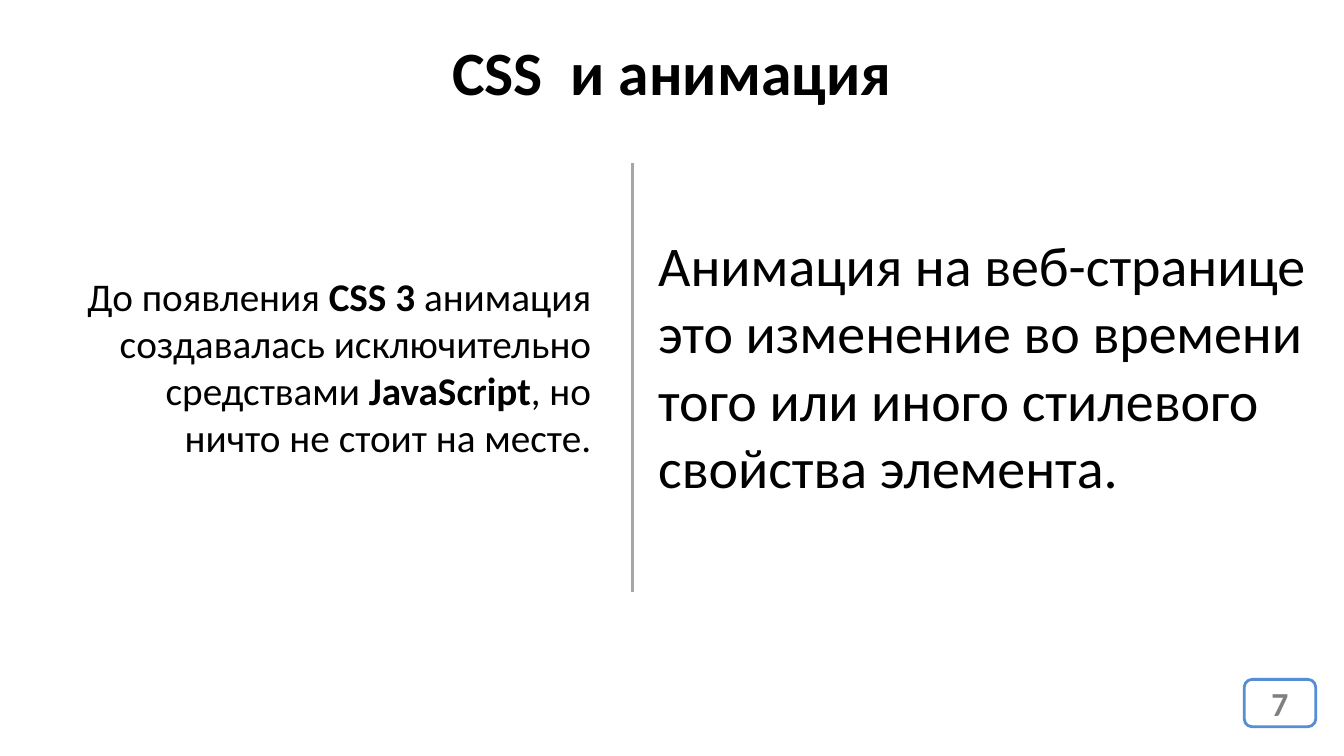
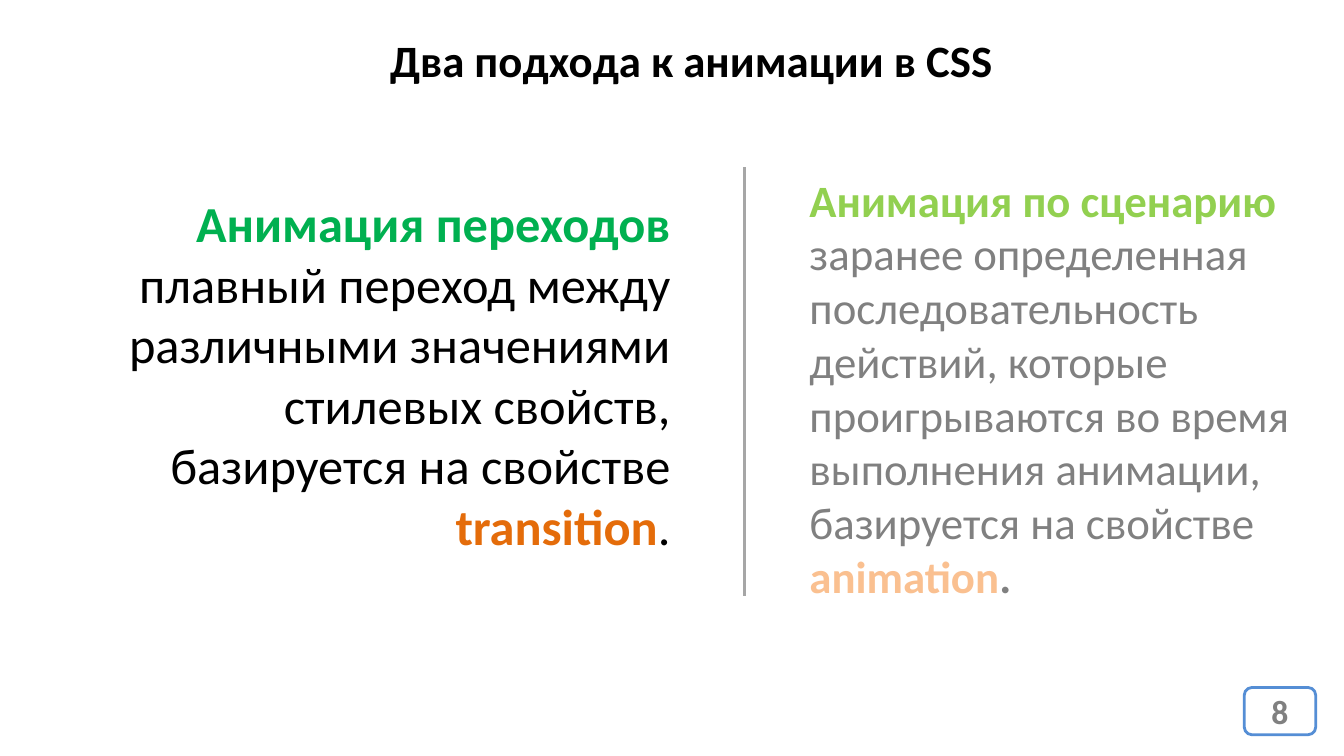
import pptx
import pptx.util
import pptx.dml.color
import pptx.enum.shapes
import pptx.enum.text
import pptx.oxml.ns
from lxml import etree

Inches = pptx.util.Inches
ALIGN = pptx.enum.text.PP_ALIGN
SHAPE = pptx.enum.shapes.MSO_SHAPE

FONT = "Calibri"
BLACK, GRAY, RULE, BLUE, WHITE = "000000", "808080", "A6A6A6", "558ED5", "FFFFFF"
GREEN, LIME, ORANGE, PEACH = "00B050", "92D050", "E46C0A", "FAC090"
RULE_LENGTH = 4.25

SLIDES = [
    {
        "number": ("7", 6.74),
        "rule": (6.27, 1.62),
        "texts": [
            {"box": (0, 0.29, 13.33, 0.84), "size": 44, "align": ALIGN.CENTER,
             "runs": [("CSS  и анимация", BLACK, True)]},
            {"box": (0.68, 2.65, 5.28, 1.99), "size": 28, "align": ALIGN.RIGHT,
             "runs": [("До появления ", BLACK, False),
                      ("CSS 3 ", BLACK, True),
                      ("анимация создавалась исключительно средствами ", BLACK, False),
                      ("JavaScript", BLACK, True),
                      (", но ничто не стоит на месте.", BLACK, False)]},
            {"box": (6.43, 2.24, 6.77, 2.79), "size": 40, "align": ALIGN.LEFT,
             "runs": [("Анимация на веб-странице это изменение во времени "
                       "того или иного стилевого свойства элемента.", BLACK, False)]},
        ],
    },
    {
        "number": ("8", 6.82),
        "rule": (7.38, 1.66),
        "texts": [
            {"box": (3.75, 0.28, 6.22, 0.64), "size": 32, "align": ALIGN.CENTER, "wrap": False,
             "runs": [("Два подхода к анимации в CSS", BLACK, True)]},
            {"box": (0.75, 1.86, 6, 3.74), "size": 36, "align": ALIGN.RIGHT,
             "runs": [("Анимация переходов", GREEN, True),
                      (" плавный переход между различными значениями стилевых "
                       "свойств, базируется на свойстве ", BLACK, False),
                      ("transition", ORANGE, True),
                      (".", BLACK, False)]},
            {"box": (7.93, 1.66, 5.12, 4.41), "size": 32, "align": ALIGN.LEFT,
             "runs": [("Анимация по сценарию ", LIME, True),
                      ("заранее определенная последовательность действий, которые "
                       "проигрываются во время выполнения анимации, базируется на "
                       "свойстве ", GRAY, False),
                      ("animation", PEACH, True),
                      (".", GRAY, True)]},
        ],
    },
]


def rgb(value):
    return pptx.dml.color.RGBColor.from_string(value)


def write(tf, runs, size, align):
    p = tf.paragraphs[0]
    p.alignment = align
    for text, color, bold in runs:
        r = p.add_run()
        r.text = text
        style = {"name": FONT, "size": pptx.util.Pt(size), "bold": bold}
        for key, value in style.items():
            setattr(r.font, key, value)
        r.font.color.rgb = rgb(color)


def set_line(sp, color, width):
    sp.line.color.rgb = rgb(color)
    sp.line.width = pptx.util.Pt(width)


def add_text(s, box, size, align, runs, wrap=True):
    tf = s.shapes.add_textbox(*map(Inches, box)).text_frame
    tf.word_wrap = wrap
    tf.auto_size = pptx.enum.text.MSO_AUTO_SIZE.SHAPE_TO_FIT_TEXT
    write(tf, runs, size, align)


def add_rule(s, x, top):
    sp = s.shapes.add_connector(
        pptx.enum.shapes.MSO_CONNECTOR.STRAIGHT,
        *map(Inches, (x, top, x, top + RULE_LENGTH)))
    set_line(sp, RULE, 2.25)
    etree.SubElement(sp._element.spPr, pptx.oxml.ns.qn("a:effectLst"))


def add_number(s, number, top):
    sp = s.shapes.add_shape(SHAPE.ROUNDED_RECTANGLE, *map(Inches, (12.34, top, 0.71, 0.47)))
    sp.shadow.inherit = False
    sp.fill.solid()
    sp.fill.fore_color.rgb = rgb(WHITE)
    set_line(sp, BLUE, 2)
    sp.text_frame.vertical_anchor = pptx.enum.text.MSO_ANCHOR.MIDDLE
    write(sp.text_frame, [(number, GRAY, True)], 24, ALIGN.CENTER)


def main():
    prs = pptx.Presentation()
    prs.slide_width, prs.slide_height = Inches(13.33), Inches(7.5)
    for content in SLIDES:
        s = prs.slides.add_slide(prs.slide_layouts[6])
        add_number(s, *content["number"])
        for text in content["texts"]:
            add_text(s, **text)
        add_rule(s, *content["rule"])
    prs.save("out.pptx")


if __name__ == "__main__":
    main()
